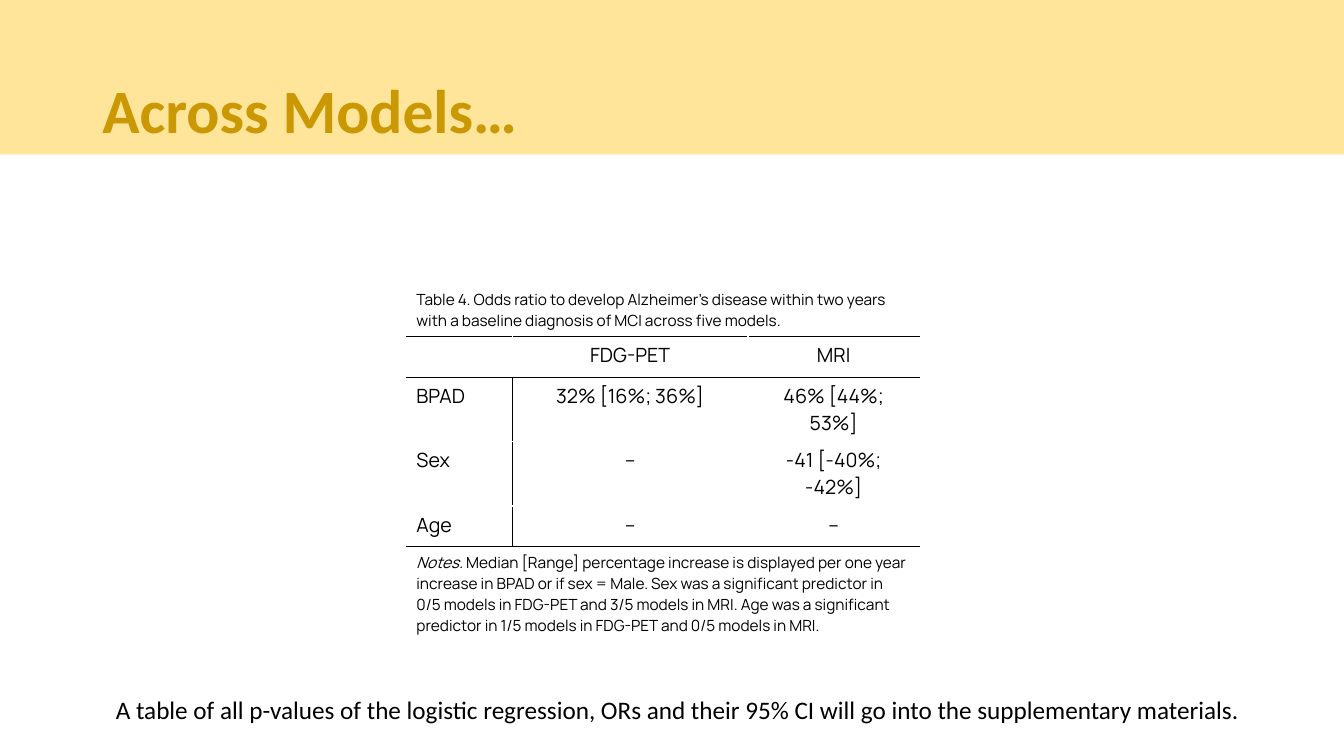
import pptx
import pptx.util
import pptx.dml.color
import pptx.enum.shapes
import pptx.enum.text
import pptx.oxml
import pptx.oxml.ns

Cm = pptx.util.Cm
Pt = pptx.util.Pt
RGBColor = pptx.dml.color.RGBColor
ALIGN = pptx.enum.text.PP_ALIGN
ANCHOR = pptx.enum.text.MSO_ANCHOR

BAND = RGBColor(0xFE, 0xE5, 0x99)
GOLD = RGBColor(0xCA, 0x98, 0x02)
BLACK = RGBColor(0, 0, 0)
WHITE = RGBColor(255, 255, 255)

TITLE = "Across Models…"
CAPTION = ("Table 4. Odds ratio to develop Alzheimer’s disease within two years "
           "with a baseline diagnosis of MCI across five models.")
NOTES = ("Median [Range] percentage increase is displayed per one year increase in BPAD "
         "or if sex = Male. Sex was a significant predictor in 0/5 models in FDG-PET and "
         "3/5 models in MRI. Age was a significant predictor in 1/5 models in FDG-PET and "
         "0/5 models in MRI.")
ODDS = [
    ("", "FDG-PET", "MRI"),
    ("BPAD", "32% [16%; 36%]", "46% [44%; 53%]"),
    ("Sex", "--", "-41 [-40%; -42%]"),
    ("Age", "--", "--"),
]
FOOTER = ("A table of all p-values of the logistic regression, ORs and their 95% CI "
          "will go into the supplementary materials.")

COL_WIDTHS = [2.67, 5.94, 4.32]
ROW_HEIGHTS = [1.32, 1.03, 1.62, 1.62, 1.03, 2.45]
RULED_EDGES = {1, 2, 5}
LABELLED_ROWS = {2, 3, 4}


def add_text(tf, text, size=14, font="Manrope", color=BLACK, bold=False,
             italic=False, align=ALIGN.LEFT):
    p = tf.paragraphs[0]
    p.alignment = align
    r = p.add_run()
    r.text = text
    r.font.size = Pt(size)
    r.font.name = font
    r.font.color.rgb = color
    r.font.bold = bold
    r.font.italic = italic
    return p


def add_box(s, x, y, w, h, text, anchor=ANCHOR.TOP, **fmt):
    tf = s.shapes.add_textbox(Cm(x), Cm(y), Cm(w), Cm(h)).text_frame
    tf.word_wrap = True
    tf.vertical_anchor = anchor
    return add_text(tf, text, **fmt)


def style_cell(cell, row, col):
    cell.fill.solid()
    cell.fill.fore_color.rgb = WHITE
    labelled = row in LABELLED_ROWS
    edges = [
        ("lnL", labelled and col == 1),
        ("lnR", labelled and col == 0),
        ("lnT", row in RULED_EDGES),
        ("lnB", row + 1 in RULED_EDGES),
    ]
    tcPr = cell._tc.get_or_add_tcPr()
    for i, (tag, dark) in enumerate(edges):
        tcPr.insert(i, pptx.oxml.parse_xml(
            f'<a:{tag} {pptx.oxml.ns.nsdecls("a")} w="12700"><a:solidFill>'
            f'<a:srgbClr val="{BLACK if dark else WHITE}"/></a:solidFill></a:{tag}>'))


def add_odds_table(s):
    last = len(ROW_HEIGHTS) - 1
    frame = s.shapes.add_table(len(ROW_HEIGHTS), len(COL_WIDTHS), Cm(10.24), Cm(7.16),
                               Cm(sum(COL_WIDTHS)), Cm(sum(ROW_HEIGHTS)))
    table = frame.table
    table.first_row = table.horz_banding = False
    for column, width in zip(table.columns, COL_WIDTHS):
        column.width = Cm(width)
    for i, (row, height) in enumerate(zip(table.rows, ROW_HEIGHTS)):
        row.height = Cm(height)
        for j, cell in enumerate(row.cells):
            style_cell(cell, i, j)
    for i in (0, last):
        table.cell(i, 0).merge(table.cell(i, len(COL_WIDTHS) - 1))
    add_text(table.cell(0, 0).text_frame, CAPTION, size=11)
    for i, values in enumerate(ODDS, 1):
        for j, value in enumerate(values):
            if value:
                add_text(table.cell(i, j).text_frame, value,
                         align=ALIGN.CENTER if j else ALIGN.LEFT)
    notes = table.cell(last, 0).text_frame
    add_text(notes, "Notes. ", size=11, italic=True)
    add_text(notes, NOTES, size=11)


def main():
    prs = pptx.Presentation()
    prs.slide_width, prs.slide_height = Cm(33.87), Cm(19.05)
    s = prs.slides.add_slide(prs.slide_layouts[6])
    band = s.shapes.add_shape(pptx.enum.shapes.MSO_SHAPE.RECTANGLE,
                              0, 0, prs.slide_width, Cm(3.89))
    band.shadow.inherit = False
    band.fill.solid()
    band.fill.fore_color.rgb = BAND
    band.line.fill.background()
    title = add_box(s, 2.33, 1.01, 29.21, 3.68, TITLE, anchor=ANCHOR.MIDDLE,
                    size=44, font="Calibri", color=GOLD, bold=True)
    title.line_spacing = 0.9
    add_odds_table(s)
    add_box(s, 2.67, 17.37, 29.26, 1.03, FOOTER, size=18, font="Calibri")
    prs.save("out.pptx")


if __name__ == "__main__":
    main()
